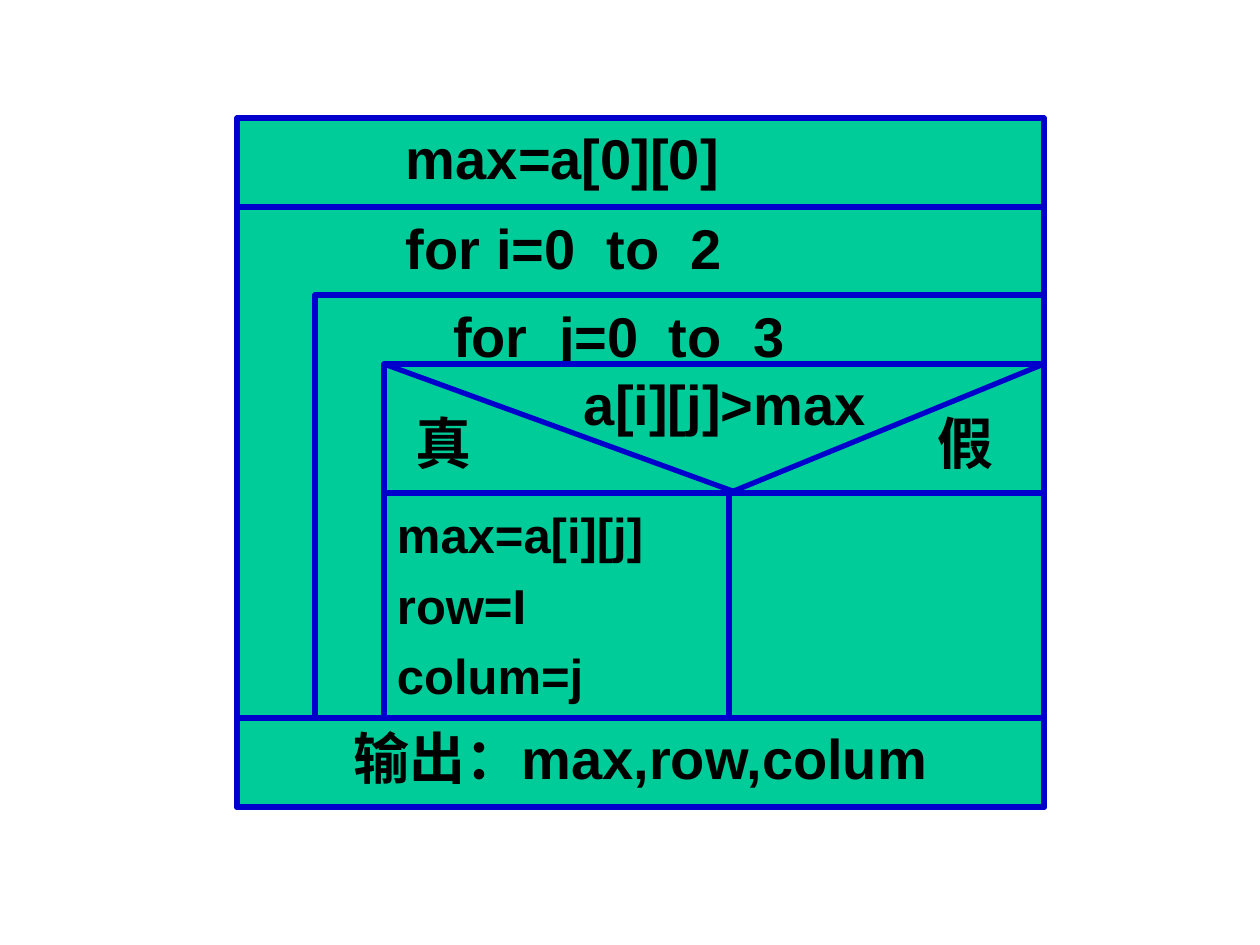
import pptx
import pptx.util
import pptx.dml.color
import pptx.enum.shapes
import pptx.enum.text
import pptx.oxml.ns
from dataclasses import dataclass
from lxml import etree

EMU = 914400 // 126
PAD_X, PAD_Y = 13, 6
SHAPE = pptx.enum.shapes.MSO_SHAPE
ALIGN = pptx.enum.text.PP_ALIGN


@dataclass(frozen=True)
class Theme:
    fill: str = "00CC99"
    line: str = "0000CC"
    ink: str = "000000"
    font: str = "Arial"
    large: int = 32
    small: int = 28
    width: int = 3


THEME = Theme()


def px(count):
    return pptx.util.Emu(count * EMU)


def color(code):
    return pptx.dml.color.RGBColor.from_string(code)


def add_tabs(para, stops):
    props = para._p.get_or_add_pPr()
    tabs = etree.SubElement(props, pptx.oxml.ns.qn("a:tabLst"))
    for stop in stops:
        etree.SubElement(tabs, pptx.oxml.ns.qn("a:tab"), pos=str(px(stop)), algn="l")


def put_text(shape, text, size, align=ALIGN.LEFT, indent=0, drop=0, space=None, stops=()):
    """Write one paragraph per line; indent and drop add to the insets."""
    frame = shape.text_frame
    frame.word_wrap = True
    frame.vertical_anchor = pptx.enum.text.MSO_ANCHOR.TOP
    frame.margin_left, frame.margin_right = px(PAD_X + indent), px(PAD_X)
    frame.margin_top, frame.margin_bottom = px(PAD_Y + drop), px(PAD_Y)
    frame.text = text
    for para in frame.paragraphs:
        para.alignment = align
        if space:
            para.line_spacing = space
        if stops:
            add_tabs(para, stops)
        para.font.name = THEME.font
        para.font.size = pptx.util.Pt(size)
        para.font.bold = True
        para.font.color.rgb = color(THEME.ink)


def stroke(item):
    item.line.color.rgb = color(THEME.line)
    item.line.width = pptx.util.Pt(THEME.width)


def add_block(slide, box, text, size=THEME.large, kind=SHAPE.FLOWCHART_PROCESS, **style):
    """Draw a filled block; box is left, top, right, bottom."""
    left, top, right, bottom = box
    shape = slide.shapes.add_shape(kind, px(left), px(top), px(right - left), px(bottom - top))
    shape.shadow.inherit = False
    shape.fill.solid()
    shape.fill.fore_color.rgb = color(THEME.fill)
    stroke(shape)
    put_text(shape, text, size, **style)


def add_label(slide, left, top, width, text):
    shape = slide.shapes.add_textbox(px(left), px(top), px(width), px(88))
    put_text(shape, text, THEME.large)


def add_line(slide, start, end):
    line = slide.shapes.add_connector(
        pptx.enum.shapes.MSO_CONNECTOR.STRAIGHT, *map(px, start + end))
    stroke(line)
    etree.SubElement(line._element.spPr, pptx.oxml.ns.qn("a:effectLst"))


def main():
    deck = pptx.Presentation()
    deck.slide_width, deck.slide_height = px(1260), px(945)
    slide = deck.slides.add_slide(deck.slide_layouts[6])

    left, outer, inner, mid, right = 237, 315, 384, 729, 1044
    top, loop, nest, test, body, out, end = 118, 207, 295, 364, 493, 718, 807

    add_block(slide, (left, loop, right, end), "for i=0\tto\t2",
              indent=156, stops=(201, 285))
    add_block(slide, (outer, nest, right, out), "for\tj=0\tto\t3",
              kind=SHAPE.RECTANGLE, indent=125, stops=(106, 216, 300))
    add_block(slide, (inner, test, right, out), "max=a[i][j]\nrow=I\ncolum=j",
              size=THEME.small, drop=123, space=1.2)
    add_label(slide, 571, test, 325, "a[i][j]>max")
    add_label(slide, 403, 403, 98, "真")
    add_label(slide, 925, 403, 98, "假")
    add_block(slide, (left, top, right, loop), "max=a[0][0]", indent=156)
    add_block(slide, (left, out, right, end), "输出：max,row,colum", align=ALIGN.CENTER)

    add_line(slide, (inner, body), (right, body))
    add_line(slide, (mid, body), (right, test))
    add_line(slide, (inner, test), (738, body))
    add_line(slide, (mid, out), (mid, body))

    deck.save("out.pptx")


if __name__ == "__main__":
    main()
